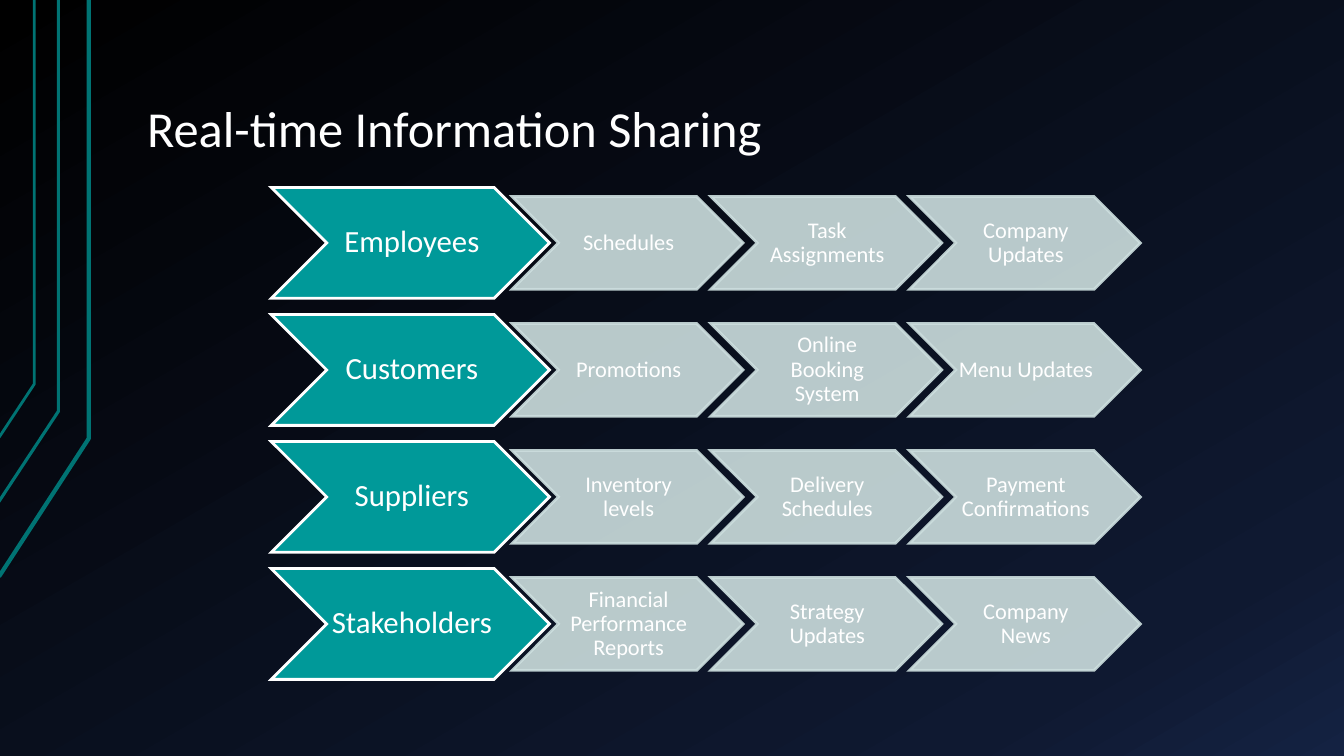
from copy import deepcopy
from dataclasses import dataclass

from lxml.etree import SubElement as Sub
from pptx import Presentation
from pptx.dml.color import RGBColor as Rgb
from pptx.enum.shapes import MSO_SHAPE as Shape
from pptx.enum.text import MSO_ANCHOR as Anchor, MSO_AUTO_SIZE as Fit, PP_ALIGN as Align
from pptx.oxml.ns import qn
from pptx.slide import Slide
from pptx.text.text import TextFrame as Frame
from pptx.util import Inches, Pt

FONT = "Calibri"
COLORS = {
    "white": "FFFFFF", "teal": "009999", "pale": "CCDEDE", "rail": "007373",
    "black": "000000", "navy": "0F1931", "blue": "142242",
}


@dataclass
class Look:
    width: float
    height: float
    fill: str
    line: str
    alpha: int
    size: int
    inset: float  # left margin
    edge: float  # top and bottom margin


@dataclass
class Rail:
    points: list[tuple[float, float]]
    weight: float


@dataclass
class Row:
    head: str
    items: list[str]


HEAD = Look(2.76, 1.1, "teal", "white", 100, 22, 0.03, 0.02)
ITEM = Look(2.29, 0.92, "pale", "pale", 90, 16, 0.02, 0.01)
LEFT, TOP, ROW_STEP = 2.69, 1.86, 1.26
ITEM_LEFT, ITEM_STEP = 5.08, 1.97

RAILS = [
    Rail([(-0.01, 5.72), (0.88, 4.35), (0.88, 0)], 3),
    Rail([(-0.02, 4.99), (0.58, 4.08), (0.58, 0)], 2.25),
    Rail([(-0.01, 4.34), (0.34, 3.81), (0.34, 0)], 2),
]
ROWS = [
    Row("Employees", ["Schedules", "Task Assignments", "Company Updates"]),
    Row("Customers", ["Promotions", "Online Booking System", "Menu Updates"]),
    Row("Suppliers", ["Inventory levels", "Delivery Schedules", "Payment Confirmations"]),
    Row("Stakeholders", ["Financial Performance Reports", "Strategy Updates", "Company News"]),
]


def color(name: str) -> Rgb:
    return Rgb.from_string(COLORS[name])


def write(frame: Frame, text: str, size: int, align: Align, anchor: Anchor) -> None:
    frame.text = text
    frame.word_wrap = True
    frame.auto_size = Fit.NONE
    frame.vertical_anchor = anchor
    para = frame.paragraphs[0]
    para.alignment, para.line_spacing = align, 0.9
    para.font.name, para.font.size = FONT, Pt(size)
    para.font.color.rgb = color("white")


def paint_back(slide: Slide) -> None:
    fill = slide.background.fill
    fill.gradient()
    fill.gradient_angle = 300
    stops = slide.element.find(".//" + qn("a:gsLst"))
    stops.append(deepcopy(stops[-1]))
    shades = [(0, "black"), (0.85, "navy"), (1, "blue")]
    for stop, (place, name) in zip(fill.gradient_stops, shades):
        stop.position = place
        stop.color.rgb = color(name)


def draw_rail(slide: Slide, rail: Rail) -> None:
    start, *rest = [(Inches(x), Inches(y)) for x, y in rail.points]
    pen = slide.shapes.build_freeform(*start)
    pen.add_line_segments(rest, close=False)
    shape = pen.convert_to_shape()
    shape.shadow.inherit = False
    shape.fill.background()
    shape.line.color.rgb = color("rail")
    shape.line.width = Pt(rail.weight)


def draw_arrow(slide: Slide, text: str, left: float, mid: float, look: Look) -> None:
    shape = slide.shapes.add_shape(
        Shape.CHEVRON, Inches(left), Inches(mid - look.height / 2),
        Inches(look.width), Inches(look.height))
    shape.shadow.inherit = False
    shape.fill.solid()
    shape.fill.fore_color.rgb = color(look.fill)
    shape.line.color.rgb = color(look.line)
    shape.line.width = Pt(2)
    # Transparency and sharp corners
    props = shape.element.spPr
    if look.alpha < 100:
        for tint in props.iter(qn("a:srgbClr")):
            Sub(tint, qn("a:alpha"), val=str(look.alpha * 1000))
    Sub(props.find(qn("a:ln")), qn("a:miter"), lim="800000")
    frame = shape.text_frame
    frame.margin_left, frame.margin_right = Inches(look.inset), 0
    frame.margin_top = frame.margin_bottom = Inches(look.edge)
    write(frame, text, look.size, Align.CENTER, Anchor.MIDDLE)


def main() -> None:
    deck = Presentation()
    deck.slide_width, deck.slide_height = Inches(13.33), Inches(7.5)
    slide = deck.slides.add_slide(deck.slide_layouts[5])
    paint_back(slide)

    # Rails at the left edge
    for rail in RAILS:
        draw_rail(slide, rail)

    # Title
    title = slide.shapes.title
    title.left, title.top = Inches(1.33), Inches(0.3)
    title.width, title.height = Inches(11.33), Inches(1.34)
    frame = title.text_frame
    frame.margin_left = frame.margin_right = Inches(0.13)
    frame.margin_top = frame.margin_bottom = Inches(0.07)
    write(frame, "Real-time Information Sharing", 36, Align.LEFT, Anchor.BOTTOM)

    # One row of chevrons per audience
    for i, row in enumerate(ROWS):
        mid = TOP + i * ROW_STEP + HEAD.height / 2
        draw_arrow(slide, row.head, LEFT, mid, HEAD)
        for j, item in enumerate(row.items):
            draw_arrow(slide, item, ITEM_LEFT + j * ITEM_STEP, mid, ITEM)

    deck.save("out.pptx")


if __name__ == "__main__":
    main()
